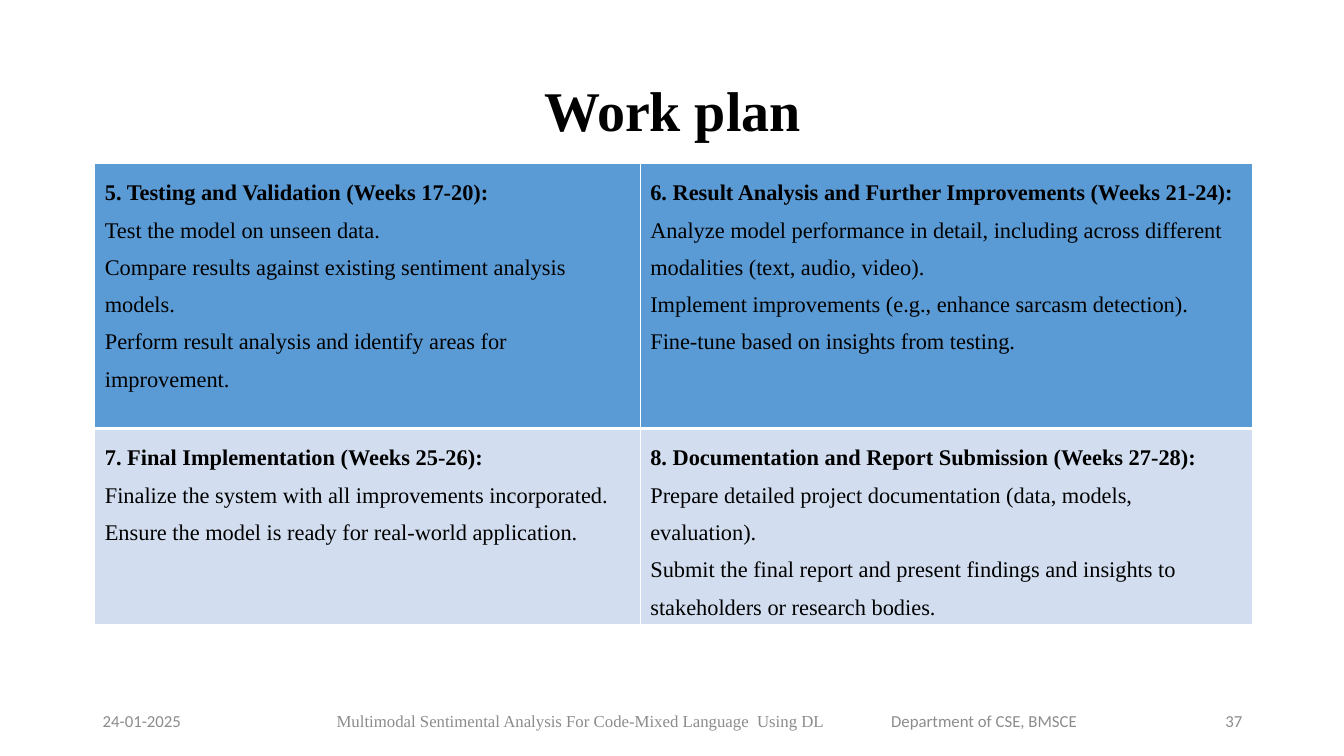
"""Build the work plan slide with its two by two table of phases."""
from lxml.etree import SubElement
from pptx import Presentation
from pptx.dml.color import RGBColor
from pptx.enum.text import MSO_ANCHOR as Anchor, PP_ALIGN as Align
from pptx.oxml.ns import qn
from pptx.util import Inches, Pt

SERIF, SANS = "Times New Roman", "Calibri"
BLACK, GREY, WHITE = "000000", "8C8C8C", "FFFFFF"
TITLE = "Work plan"
PHASES = [
    [
        ["5. Testing and Validation (Weeks 17-20):",
         "Test the model on unseen data.",
         "Compare results against existing sentiment analysis models.",
         "Perform result analysis and identify areas for improvement."],
        ["6. Result Analysis and Further Improvements (Weeks 21-24):",
         "Analyze model performance in detail, including across different modalities (text, audio, video).",
         "Implement improvements (e.g., enhance sarcasm detection).",
         "Fine-tune based on insights from testing."],
    ],
    [
        ["7. Final Implementation (Weeks 25-26):",
         "Finalize the system with all improvements incorporated.",
         "Ensure the model is ready for real-world application."],
        ["8. Documentation and Report Submission (Weeks 27-28):",
         "Prepare detailed project documentation (data, models, evaluation).",
         "Submit the final report and present findings and insights to stakeholders or research bodies."],
    ],
]
COLUMN_WIDTHS = [5.41, 6.07]
ROW_HEIGHTS = [2.63, 1.95]
ROW_FILLS = ["5B9BD5", "D2DEEF"]
ROW_BORDERS = [{"L": 1, "R": 1, "T": 1, "B": 3}, {"L": 1, "R": 1, "T": 3, "B": 1}]
FOOTERS = [
    (0.92, 3, Align.LEFT, [("24-01-2025", SANS)]),
    (1.93, 10.2, Align.CENTER, [
        ("Multimodal Sentimental Analysis For Code-Mixed Language  Using DL\t\t", SERIF),
        ("Department of CSE, BMSCE ", SANS)]),
    (9.42, 3, Align.RIGHT, [("37", SANS)]),
]


def color(value):
    return RGBColor.from_string(value)


def write(paragraph, text, font=SERIF, size=16, fill=BLACK, bold=False,
          align=Align.LEFT, spacing=1.0):
    paragraph.alignment = align
    paragraph.line_spacing = spacing
    run = paragraph.add_run()
    run.text = text
    run.font.name = font
    run.font.size = Pt(size)
    run.font.bold = bold
    run.font.color.rgb = color(fill)


def add_borders(cell, widths):
    properties = cell._tc.get_or_add_tcPr()
    for side, width in widths.items():
        line = SubElement(properties, qn(f"a:ln{side}"), w=str(Pt(width)))
        solid = SubElement(line, qn("a:solidFill"))
        SubElement(solid, qn("a:srgbClr"), val=WHITE)


def add_title(slide):
    title = slide.shapes.title
    title.left, title.top = Inches(0.92), Inches(0.4)
    title.width, title.height = Inches(11.5), Inches(1.45)
    title.text_frame.vertical_anchor = Anchor.MIDDLE
    write(title.text_frame.paragraphs[0], TITLE, size=40, bold=True,
          align=Align.CENTER, spacing=0.9)


def add_phases(slide):
    table = slide.shapes.add_table(
        len(ROW_HEIGHTS), len(COLUMN_WIDTHS), Inches(0.94), Inches(1.62),
        Inches(sum(COLUMN_WIDTHS)), Inches(sum(ROW_HEIGHTS))).table
    for column, width in zip(table.columns, COLUMN_WIDTHS):
        column.width = Inches(width)
    for row, height, phases, fill, borders in zip(
            table.rows, ROW_HEIGHTS, PHASES, ROW_FILLS, ROW_BORDERS):
        row.height = Inches(height)
        for cell, lines in zip(row.cells, phases):
            add_borders(cell, borders)
            cell.fill.solid()
            cell.fill.fore_color.rgb = color(fill)
            frame = cell.text_frame
            for index, line in enumerate(lines):
                paragraph = frame.add_paragraph() if index else frame.paragraphs[0]
                write(paragraph, line, bold=index == 0, spacing=1.5)


def add_footers(slide):
    for left, width, align, runs in FOOTERS:
        box = slide.shapes.add_textbox(Inches(left), Inches(6.95), Inches(width), Inches(0.4))
        frame = box.text_frame
        frame.word_wrap = True
        frame.vertical_anchor = Anchor.MIDDLE
        for text, font in runs:
            write(frame.paragraphs[0], text, font=font, size=12, fill=GREY, align=align)


def main():
    presentation = Presentation()
    presentation.slide_width, presentation.slide_height = Inches(13.33), Inches(7.5)
    slide = presentation.slides.add_slide(presentation.slide_layouts[5])
    add_title(slide)
    add_phases(slide)
    add_footers(slide)
    presentation.save("out.pptx")


if __name__ == "__main__":
    main()
